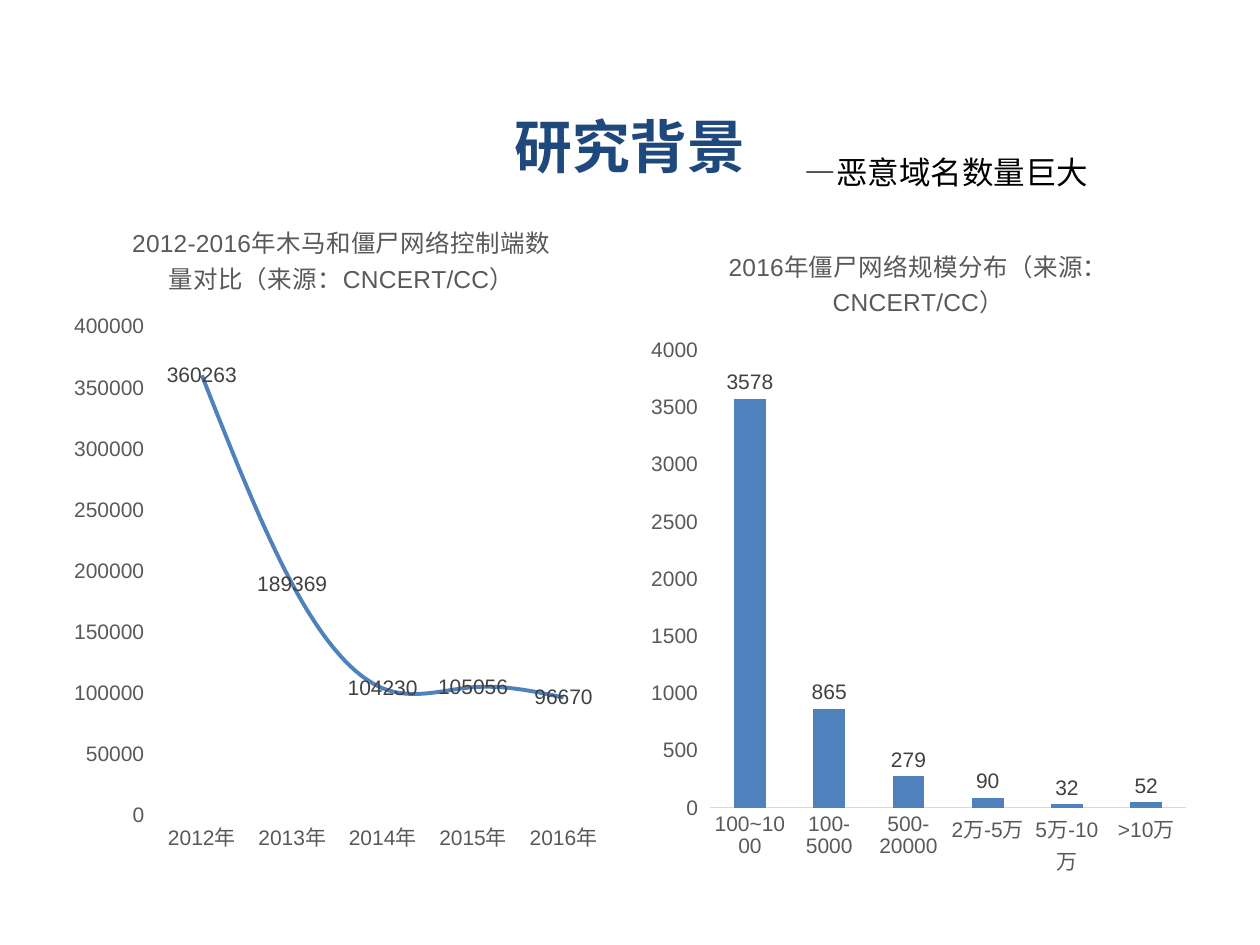
from dataclasses import dataclass

from pptx import Presentation
from pptx.chart.data import CategoryChartData
from pptx.dml.color import RGBColor
from pptx.enum.chart import XL_CHART_TYPE, XL_LABEL_POSITION, XL_TICK_MARK
from pptx.enum.text import MSO_ANCHOR, PP_ALIGN
from pptx.util import Inches, Pt


@dataclass(frozen=True)
class Theme:
    """Colours, font and type sizes of the slide."""
    font: str = "Arial"
    heading: str = "1F497D"
    text: str = "000000"
    muted: str = "595959"
    label: str = "404040"
    series: str = "4F81BD"
    rule: str = "D9D9D9"
    heading_size: int = 33
    subtitle_size: int = 18
    chart_title_size: int = 14
    axis_size: int = 12
    chart_size: int = 10


@dataclass(frozen=True)
class Box:
    """A rectangle given as shares of the slide's size."""
    left: float
    top: float
    width: float
    height: float

    def lengths(self) -> tuple:
        """Return left, top, width and height as slide lengths."""
        return (int(WIDTH * self.left), int(HEIGHT * self.top),
                int(WIDTH * self.width), int(HEIGHT * self.height))


@dataclass(frozen=True)
class ChartPanel:
    """The content and place of one chart."""
    title: str
    kind: XL_CHART_TYPE
    box: Box
    values: dict
    label_position: XL_LABEL_POSITION


THEME = Theme()
WIDTH, HEIGHT = Inches(10), Inches(7.5)
MARGIN, CHART_WIDTH, CHART_HEIGHT = 0.05, 0.442, 0.708

PANELS = (
    ChartPanel(
        "2012-2016年木马和僵尸网络控制端数量对比（来源：CNCERT/CC）",
        XL_CHART_TYPE.LINE,
        Box(MARGIN, 0.208, CHART_WIDTH, CHART_HEIGHT),
        {"2012年": 360263, "2013年": 189369, "2014年": 104230,
         "2015年": 105056, "2016年": 96670},
        XL_LABEL_POSITION.CENTER,
    ),
    ChartPanel(
        "2016年僵尸网络规模分布（来源：CNCERT/CC）",
        XL_CHART_TYPE.COLUMN_CLUSTERED,
        Box(1 - MARGIN - CHART_WIDTH, 0.233, CHART_WIDTH, CHART_HEIGHT),
        {"100~1000": 3578, "100-5000": 865, "500-20000": 279,
         "2万-5万": 90, "5万-10万": 32, ">10万": 52},
        XL_LABEL_POSITION.OUTSIDE_END,
    ),
)


def style_font(font, size: int, color: str, bold: bool = False) -> None:
    """Apply the theme font with a size, colour and weight."""
    font.name = THEME.font
    font.size = Pt(size)
    font.bold = bold
    font.color.rgb = RGBColor.from_string(color)


def add_text(slide, text: str, box: Box, *, size: int, color: str,
             bold: bool = False, align=PP_ALIGN.LEFT,
             anchor=MSO_ANCHOR.TOP, wrap: bool = True) -> None:
    """Add a formatted text box."""
    frame = slide.shapes.add_textbox(*box.lengths()).text_frame
    frame.word_wrap = wrap
    frame.vertical_anchor = anchor
    paragraph = frame.paragraphs[0]
    paragraph.alignment = align
    run = paragraph.add_run()
    run.text = text
    style_font(run.font, size, color, bold)


def style_axis(axis, tick: XL_TICK_MARK) -> None:
    """Give an axis its text format and a hidden line without a grid."""
    style_font(axis.tick_labels.font, THEME.axis_size, THEME.muted)
    axis.has_major_gridlines = False
    axis.major_tick_mark = tick
    axis.minor_tick_mark = XL_TICK_MARK.NONE
    axis.format.line.fill.background()


def style_line(line, color: str, width: float) -> None:
    """Give a line a solid colour and a width in points."""
    line.color.rgb = RGBColor.from_string(color)
    line.width = Pt(width)


def add_chart_panel(slide, panel: ChartPanel) -> None:
    """Add one titled single-series chart with value labels."""
    data = CategoryChartData()
    data.categories = list(panel.values)
    data.add_series("Series 1", list(panel.values.values()))
    chart = slide.shapes.add_chart(panel.kind, *panel.box.lengths(), data).chart
    style_font(chart.font, THEME.chart_size, THEME.text)
    chart.has_legend = False
    chart.has_title = True
    chart.chart_title.include_in_layout = False
    paragraph = chart.chart_title.text_frame.paragraphs[0]
    run = paragraph.add_run()
    run.text = panel.title
    style_font(run.font, THEME.chart_title_size, THEME.muted)

    style_axis(chart.category_axis, XL_TICK_MARK.NONE)
    style_axis(chart.value_axis, XL_TICK_MARK.OUTSIDE)

    plot = chart.plots[0]
    plot.vary_by_categories = False
    series = plot.series[0]
    if panel.kind == XL_CHART_TYPE.LINE:
        series.smooth = True
        style_line(series.format.line, THEME.series, 2.25)
    else:
        plot.gap_width, plot.overlap = 150, -25
        series.format.fill.solid()
        series.format.fill.fore_color.rgb = RGBColor.from_string(THEME.series)
        style_line(chart.category_axis.format.line, THEME.rule, 0.75)
    labels = series.data_labels
    labels.show_value = True
    labels.position = panel.label_position
    style_font(labels.font, THEME.axis_size, THEME.label)


def main() -> None:
    """Build the slide and save it."""
    presentation = Presentation()
    presentation.slide_width, presentation.slide_height = WIDTH, HEIGHT
    slide = presentation.slides.add_slide(presentation.slide_layouts[6])
    add_text(slide, "研究背景", Box(MARGIN, 0.101, 1 - 2 * MARGIN, 0.105),
             size=THEME.heading_size, color=THEME.heading, bold=True,
             align=PP_ALIGN.CENTER, anchor=MSO_ANCHOR.MIDDLE)
    for panel in PANELS:
        add_chart_panel(slide, panel)
    add_text(slide, "—恶意域名数量巨大", Box(0.629, 0.155, 0.248, 0.053),
             size=THEME.subtitle_size, color=THEME.text, wrap=False)
    presentation.save("out.pptx")


if __name__ == "__main__":
    main()
